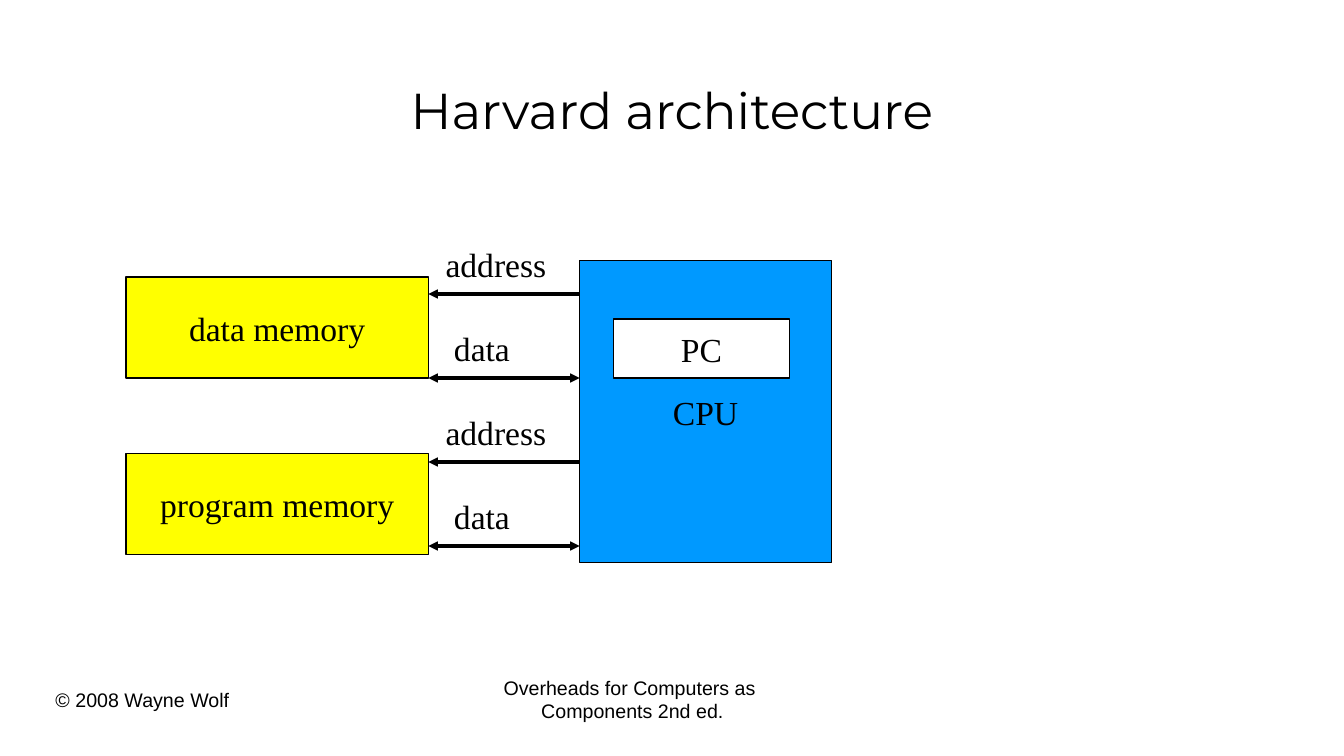
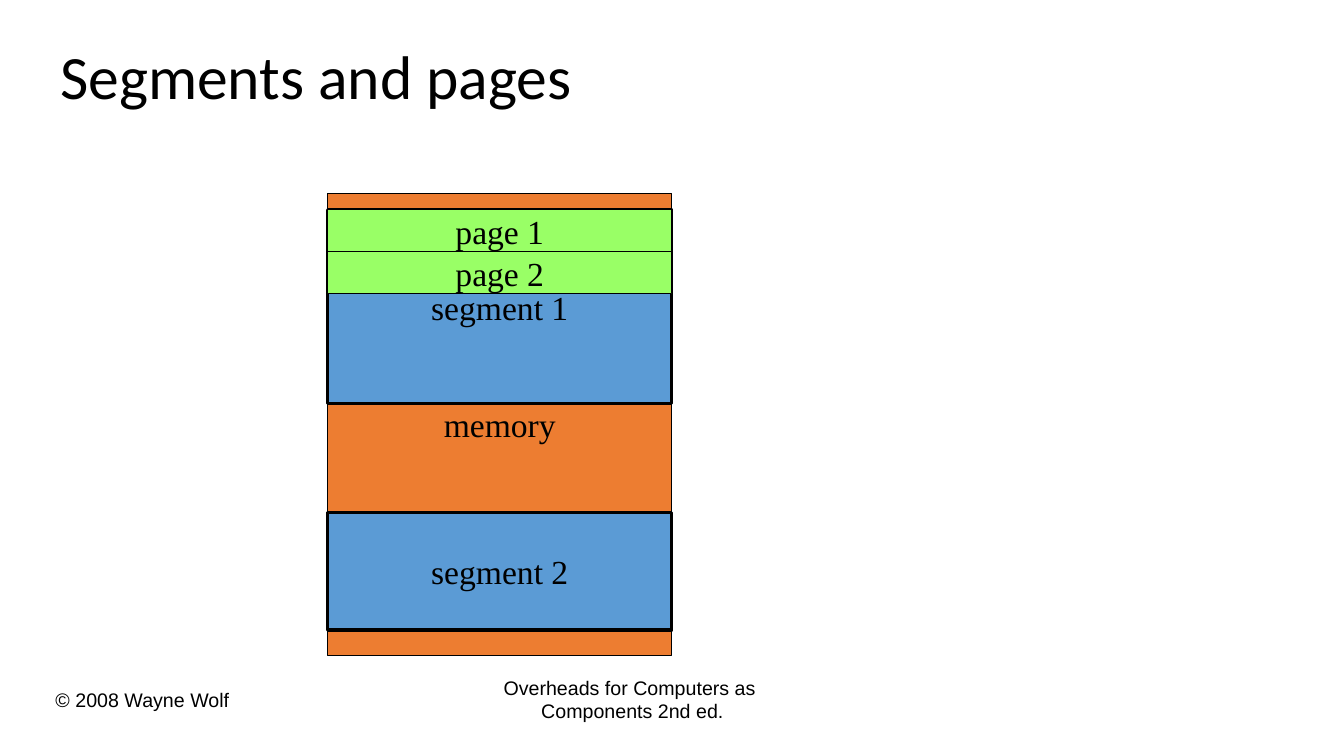
import pptx
import pptx.dml.color
import pptx.enum.shapes
import pptx.enum.text
import pptx.oxml.ns
import pptx.util
from lxml import etree

Pt = pptx.util.Pt
RGBColor = pptx.dml.color.RGBColor
ALIGN = pptx.enum.text.PP_ALIGN
ANCHOR = pptx.enum.text.MSO_ANCHOR

BLACK = RGBColor(0x00, 0x00, 0x00)
WHITE = RGBColor(0xFF, 0xFF, 0xFF)
CPU_BLUE = RGBColor(0x00, 0x99, 0xFF)
MEMORY_YELLOW = RGBColor(0xFF, 0xFF, 0x00)
MEMORY_ORANGE = RGBColor(0xED, 0x7D, 0x31)
SEGMENT_BLUE = RGBColor(0x5B, 0x9B, 0xD5)
PAGE_GREEN = RGBColor(0x99, 0xFF, 0x66)

LABEL_FONT, LABEL_SIZE = "Times New Roman", 24
FOOTER_FONT, FOOTER_SIZE = "Arial", 14


def write(frame, text, font, size, align):
    frame.text = text
    for paragraph in frame.paragraphs:
        paragraph.alignment = align
        for run in paragraph.runs:
            run.font.name = font
            run.font.size = Pt(size)
            run.font.color.rgb = BLACK


def add_text(slide, box, text, font, size, align=ALIGN.LEFT):
    """Add an unwrapped text box that grows with its text."""
    frame = slide.shapes.add_textbox(*map(Pt, box)).text_frame
    frame.word_wrap = False
    frame.auto_size = pptx.enum.text.MSO_AUTO_SIZE.SHAPE_TO_FIT_TEXT
    write(frame, text, font, size, align)


def add_title(slide, box, text, font, size, align=ALIGN.LEFT):
    frame = slide.shapes.add_textbox(*map(Pt, box)).text_frame
    frame.word_wrap = True
    frame.vertical_anchor = ANCHOR.MIDDLE
    write(frame, text, font, size, align)
    frame.paragraphs[0].line_spacing = 0.9


def add_footer(slide):
    add_text(slide, (352, 479, 199.5, 41),
             "Overheads for Computers as \nComponents 2nd ed.",
             FOOTER_FONT, FOOTER_SIZE, ALIGN.CENTER)
    add_text(slide, (32.5, 487.5, 139.5, 24.5), "© 2008 Wayne Wolf",
             FOOTER_FONT, FOOTER_SIZE)


def add_block(slide, box, text, fill, line_width):
    """Add an outlined rectangle with a centred label."""
    block = slide.shapes.add_shape(
        pptx.enum.shapes.MSO_SHAPE.RECTANGLE, *map(Pt, box))
    block.shadow.inherit = False
    block.fill.solid()
    block.fill.fore_color.rgb = fill
    block.line.color.rgb = BLACK
    block.line.width = Pt(line_width)
    block.text_frame.word_wrap = False
    block.text_frame.vertical_anchor = ANCHOR.MIDDLE
    write(block.text_frame, text, LABEL_FONT, LABEL_SIZE, ALIGN.CENTER)


def add_arrow(slide, start_x, end_x, y, both_ways):
    arrow = slide.shapes.add_connector(
        pptx.enum.shapes.MSO_CONNECTOR.STRAIGHT,
        Pt(start_x), Pt(y), Pt(end_x), Pt(y))
    arrow.line.color.rgb = BLACK
    arrow.line.width = Pt(2.25)
    qn = pptx.oxml.ns.qn
    properties = arrow.element.spPr
    outline = properties.find(qn("a:ln"))
    for end in ("a:headEnd", "a:tailEnd") if both_ways else ("a:tailEnd",):
        etree.SubElement(outline, qn(end), type="triangle")
    etree.SubElement(properties, qn("a:effectLst"))


def add_harvard_diagram(slide, left, top, width, height):
    """Place two memories on the left, the CPU on the right, buses between."""
    memory_width, cpu_width = 216, 180
    memory_right = left + memory_width
    cpu_left = left + width - cpu_width

    add_block(slide, (cpu_left, top, cpu_width, height), "CPU", CPU_BLUE, 1)
    add_block(slide, (cpu_left + 24, top + 42, 126, 42), "PC", WHITE, 1)
    for name, offset in (("data memory", 12), ("program memory", 138)):
        add_block(slide, (left, top + offset, memory_width, 72), name,
                  MEMORY_YELLOW, 1)

    for row, bus in enumerate(("address", "data") * 2):
        bus_y = top + 24 + 60 * row
        if bus == "address":
            add_arrow(slide, cpu_left, memory_right, bus_y, False)
            label_offset, label_width = 5, 86.5
        else:
            add_arrow(slide, memory_right, cpu_left, bus_y, True)
            label_offset, label_width = 11, 54.5
        add_text(slide, (memory_right + label_offset, bus_y - 39,
                         label_width, 36),
                 bus, LABEL_FONT, LABEL_SIZE, ALIGN.CENTER)


def add_memory_map(slide, left, top, width, height):
    """Stack segments and pages, at offsets from the top of memory."""
    segment_top, page_height = 12, 30
    regions = [
        ("memory", 0, height, MEMORY_ORANGE, 0.75),
        ("segment 1", segment_top, 138, SEGMENT_BLUE, 2.25),
        ("segment 2", 228, 84, SEGMENT_BLUE, 2.25),
    ]
    for page in range(2):
        regions.append((f"page {page + 1}", segment_top + page * page_height,
                        page_height, PAGE_GREEN, 0.75))
    for name, offset, region_height, fill, line_width in regions:
        add_block(slide, (left, top + offset, width, region_height), name,
                  fill, line_width)


def add_slide(deck):
    slide = deck.slides.add_slide(deck.slide_layouts[6])
    slide.background.fill.solid()
    slide.background.fill.fore_color.rgb = WHITE
    add_footer(slide)
    return slide


def main():
    deck = pptx.Presentation()
    deck.slide_width, deck.slide_height = Pt(960), Pt(540)

    harvard = add_slide(deck)
    add_title(harvard, (66, 28.8, 828, 104.4), "Harvard architecture",
              "Montserrat", 36, ALIGN.CENTER)
    add_harvard_diagram(harvard, 90, 186, 504, 216)

    segments = add_slide(deck)
    add_title(segments, (36, 18, 642, 78), "Segments and pages", "Calibri", 44)
    add_memory_map(segments, 234, 138, 246, 330)

    deck.save("out.pptx")


if __name__ == "__main__":
    main()
